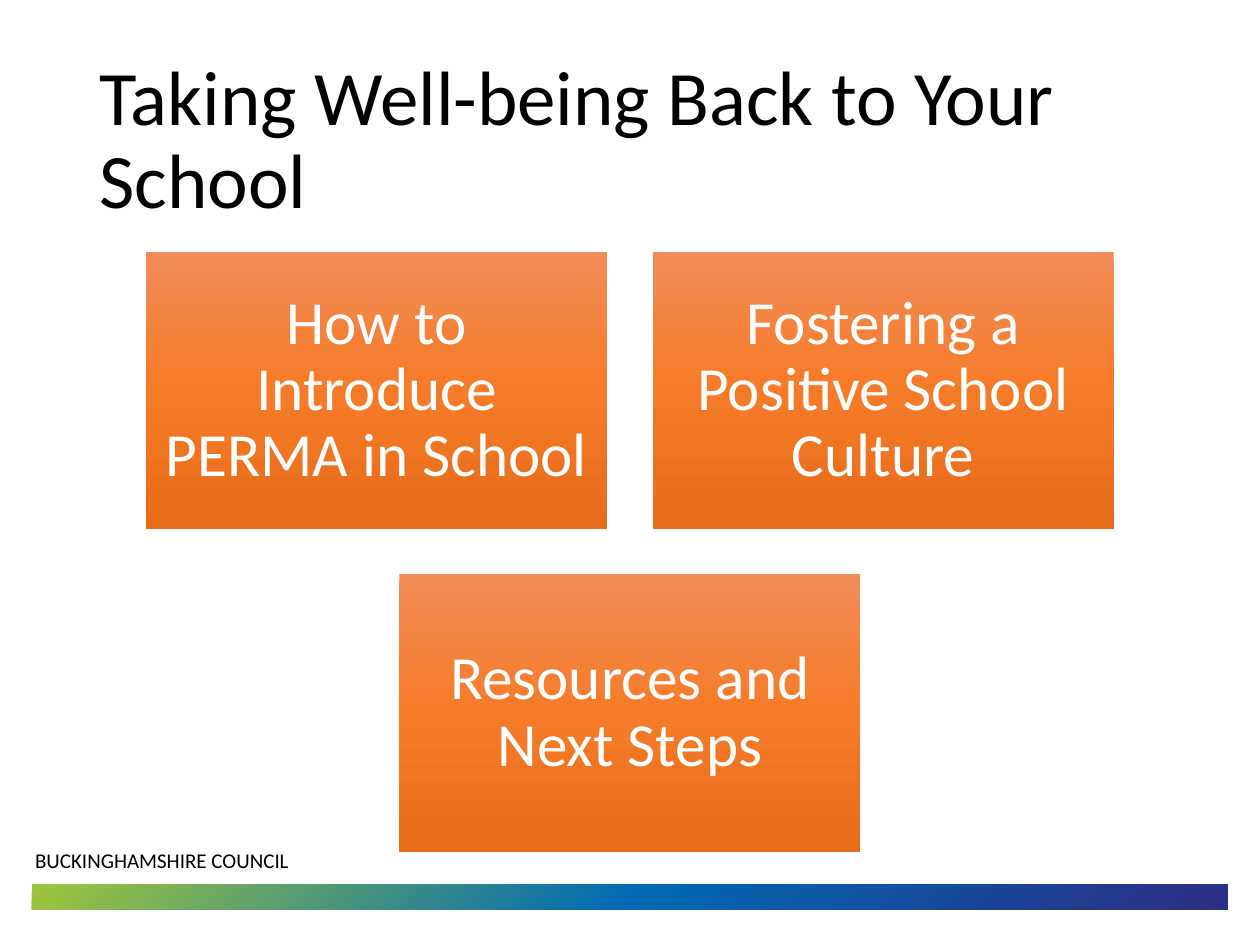
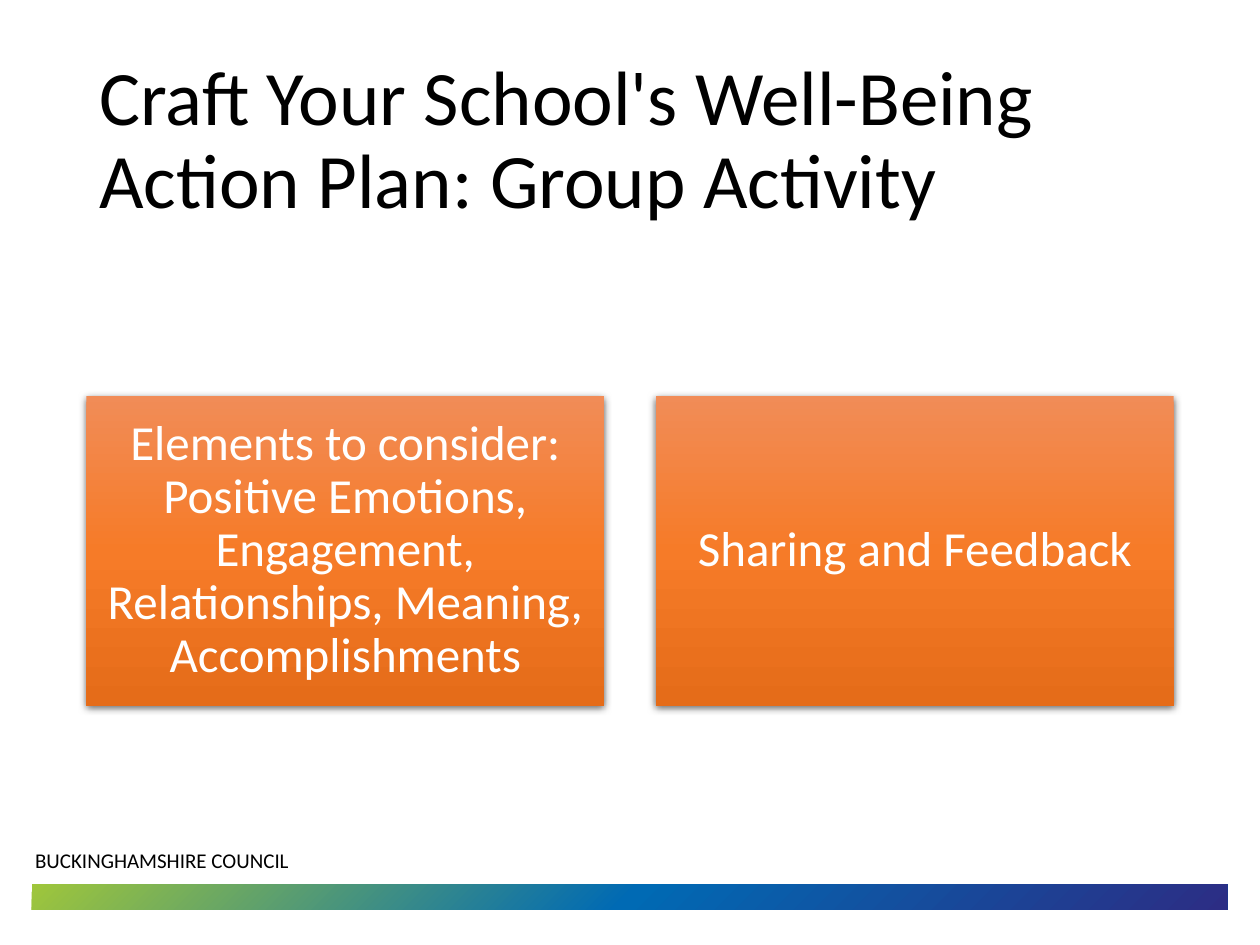
from pptx import Presentation
from pptx.dml.color import RGBColor
from pptx.enum.shapes import MSO_SHAPE
from pptx.enum.text import MSO_ANCHOR, PP_ALIGN
from pptx.oxml import parse_xml
from pptx.oxml.ns import nsdecls, qn
from pptx.util import Inches, Pt

RECTANGLE = MSO_SHAPE.RECTANGLE
MIDDLE, TOP = MSO_ANCHOR.MIDDLE, MSO_ANCHOR.TOP
CENTER, LEFT = PP_ALIGN.CENTER, PP_ALIGN.LEFT

SLIDES = [
    {
        "title": "Taking Well-being Back to Your School",
        "rows": [
            ["How to Introduce PERMA in School", "Fostering a Positive School Culture"],
            ["Resources and Next Steps"],
        ],
        "card": (3.66, 2.2), "gap": 0.36, "top": 2,
        "size": 35, "inset": 0.15, "shadow": False,
    },
    {
        "title": "Craft Your School's Well-Being Action Plan: Group Activity",
        "rows": [
            ["Elements to consider: Positive Emotions, Engagement, "
             "Relationships, Meaning, Accomplishments", "Sharing and Feedback"],
        ],
        "card": (4.11, 2.46), "gap": 0.41, "top": 3.14,
        "size": 28, "inset": 0.12, "shadow": True,
    },
]
FOOTER = "BUCKINGHAMSHIRE COUNCIL"

SLIDE_WIDTH, SLIDE_HEIGHT = 10, 7.5
FONT = "Calibri"
BLACK, WHITE = "000000", "FFFFFF"
CARD_COLOURS = ["F18C57", "F67B28", "E56C19"]
BAND_COLOURS = ["2C2D84", "006AB4", "9FC63B"]
DOWNWARD = '<a:lin ang="5400000" scaled="0"/>'
FROM_CORNER = '<a:path path="circle"><a:fillToRect l="100000" t="100000"/></a:path>'
SOFT_SHADOW = (
    f'<a:effectLst {nsdecls("a")}>'
    '<a:outerShdw blurRad="57150" dist="19050" dir="5400000" algn="ctr" rotWithShape="0">'
    '<a:srgbClr val="000000"><a:alpha val="63000"/></a:srgbClr>'
    '</a:outerShdw></a:effectLst>'
)


def colour(hex_string):
    return RGBColor.from_string(hex_string)


def write(shape, text, size, text_colour, anchor=TOP, align=LEFT, line_spacing=1.0):
    frame = shape.text_frame
    frame.word_wrap = True
    frame.vertical_anchor = anchor
    para = frame.paragraphs[0]
    para.alignment = align
    para.line_spacing = line_spacing
    span = para.add_run()
    span.text = text
    span.font.name = FONT
    span.font.size = Pt(size)
    span.font.color.rgb = colour(text_colour)


def add_text(page, place, *args, **options):
    box = page.shapes.add_textbox(*map(Inches, place))
    write(box, *args, **options)


def add_gradient_box(page, place, colours, direction):
    """Add a borderless rectangle with evenly spaced gradient stops."""
    box = page.shapes.add_shape(RECTANGLE, *map(Inches, place))
    box.shadow.inherit = False
    box.line.fill.background()
    box.fill.gradient()
    step = 100000 // (len(colours) - 1)
    stops = "".join(
        f'<a:gs pos="{i * step}"><a:srgbClr val="{colour(value)}"/></a:gs>'
        for i, value in enumerate(colours)
    )
    properties = box.element.spPr
    properties.replace(
        properties.find(qn("a:gradFill")),
        parse_xml(f'<a:gradFill {nsdecls("a")} rotWithShape="1">'
                  f'<a:gsLst>{stops}</a:gsLst>{direction}</a:gradFill>'),
    )
    return box


def add_frame(page, title):
    """Add the band, footer and title that every slide shares."""
    band = add_gradient_box(page, (0.25, 7.02, 9.49, 0.2), BAND_COLOURS, FROM_CORNER)
    band.element.spPr.find(qn("a:xfrm")).set("flipH", "1")
    add_text(page, (0.18, 6.68, 4.81, 0.3), FOOTER, 12, BLACK)
    add_text(page, (0.69, 0.4, 8.62, 1.45), title, 44, BLACK,
             anchor=MIDDLE, line_spacing=0.9)


def add_card(page, place, text, content):
    card = add_gradient_box(page, place, CARD_COLOURS, DOWNWARD)
    if content["shadow"]:
        properties = card.element.spPr
        properties.replace(properties.find(qn("a:effectLst")), parse_xml(SOFT_SHADOW))
    frame = card.text_frame
    frame.margin_left = frame.margin_right = Inches(content["inset"])
    frame.margin_top = frame.margin_bottom = Inches(content["inset"])
    write(card, text, content["size"], WHITE, MIDDLE, CENTER, 0.9)


def add_cards(page, content):
    """Lay out each row of cards centred across the slide."""
    width, height = content["card"]
    gap = content["gap"]
    for row_number, row in enumerate(content["rows"]):
        row_width = len(row) * width + (len(row) - 1) * gap
        left = (SLIDE_WIDTH - row_width) / 2
        top = content["top"] + row_number * (height + gap)
        for column, text in enumerate(row):
            place = (left + column * (width + gap), top, width, height)
            add_card(page, place, text, content)


def main():
    deck = Presentation()
    deck.slide_width = Inches(SLIDE_WIDTH)
    deck.slide_height = Inches(SLIDE_HEIGHT)
    blank = deck.slide_layouts[6]
    for content in SLIDES:
        page = deck.slides.add_slide(blank)
        add_frame(page, content["title"])
        add_cards(page, content)
    deck.save("out.pptx")


if __name__ == "__main__":
    main()
